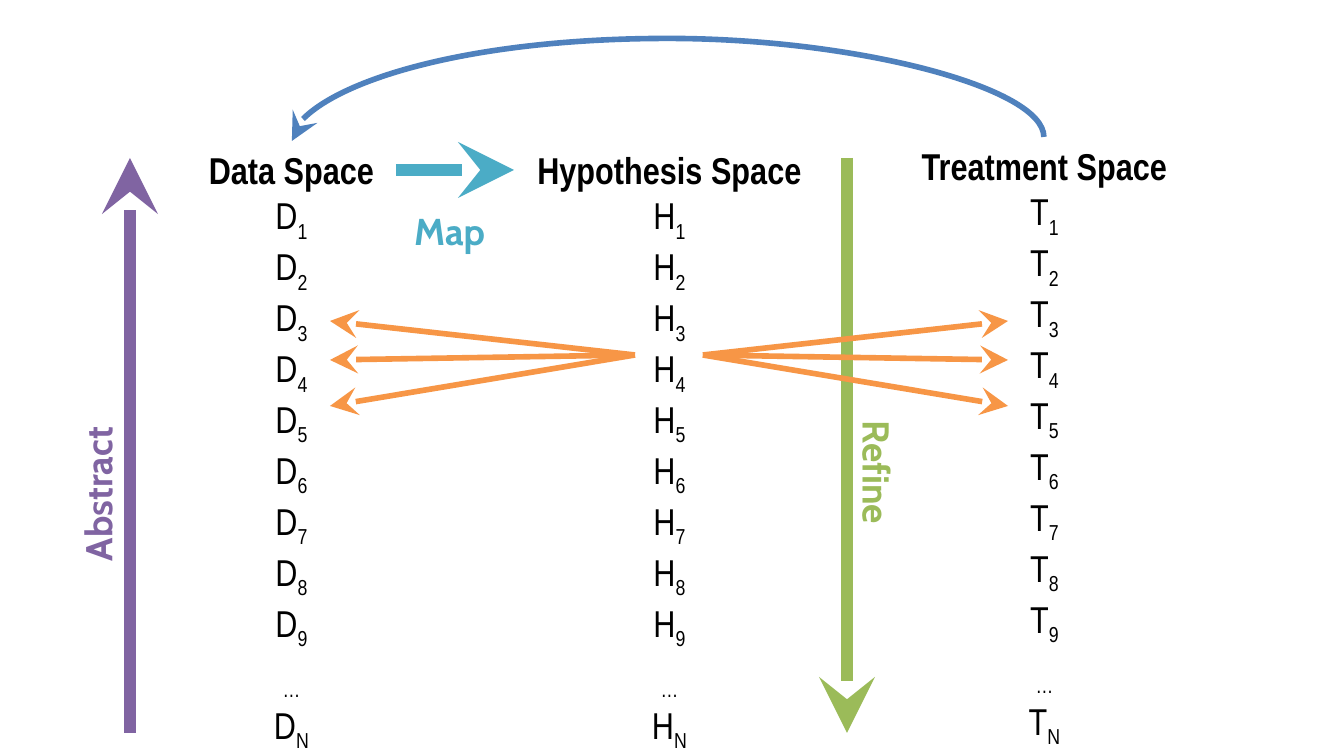
from lxml import etree
from pptx import Presentation
from pptx import util as u
from pptx.dml import color
from pptx.enum import shapes, text
from pptx.oxml import ns

SCALE = 914400 / 134.4
PURPLE, TEAL, GREEN, ORANGE, BLUE = "8064A2", "4BACC6", "9BBB59", "F79646", "4F81BD"


def px(n):
    return u.Emu(round(n * SCALE))


def rgb(value):
    return color.RGBColor.from_string(value)


class Diagram:
    size = u.Pt(20)
    column_font = "Arial Narrow"
    label_font = "Cabin"

    def __init__(self, s):
        self.s = s

    def text_frame(self, x, y, w, h, wrap, rotation=0):
        sp = self.s.shapes.add_textbox(px(x), px(y), px(w), px(h))
        sp.rotation = rotation
        tf = sp.text_frame
        tf.word_wrap = wrap
        tf.auto_size = text.MSO_AUTO_SIZE.SHAPE_TO_FIT_TEXT
        return tf

    def format(self, p, font, hex_color, bold):
        p.font.size, p.font.name, p.font.bold = self.size, font, bold
        p.font.color.rgb = rgb(hex_color)

    def label(self, words, x, y, w, hex_color, rotation=0):
        p = self.text_frame(x, y, w, 59, False, rotation).paragraphs[0]
        p.text = words
        self.format(p, self.label_font, hex_color, True)

    def column(self, heading, letter, x, y):
        tf = self.text_frame(x, y, 323, 542, True)
        rows = [(letter, str(i)) for i in range(1, 10)] + [("", "…"), (letter, "N")]
        for i, (base, subscript) in enumerate([(heading, "")] + rows):
            p = tf.add_paragraph() if i else tf.paragraphs[0]
            p.alignment = text.PP_ALIGN.CENTER
            self.format(p, self.column_font, "000000", i == 0)
            if base:
                p.add_run().text = base
            if subscript:
                r = p.add_run()
                r.text = subscript
                r.font._element.set("baseline", "-25000")

    def arrow(self, x1, y1, x2, y2, hex_color, width,
              kind=shapes.MSO_CONNECTOR.STRAIGHT):
        sp = self.s.shapes.add_connector(kind, px(x1), px(y1), px(x2), px(y2))
        sp.line.color.rgb = rgb(hex_color)
        sp.line.width = u.Pt(width)
        etree.SubElement(sp.line._ln, ns.qn("a:tailEnd"), type="stealth", w="lg", len="lg")
        etree.SubElement(sp._element.spPr, ns.qn("a:effectLst"))
        return sp

    def arc(self, x1, y1, x2, y2, rise, hex_color, width):
        cx, cy = (x1 + x2) / 2, (y1 + y2) / 2
        half_span, half_drop = (x1 - x2) / 2, (y2 - y1) / 2
        sp = self.arrow(cx + half_drop, cy + half_span, cx - half_drop, cy - half_span,
                        hex_color, width, shapes.MSO_CONNECTOR.CURVE)
        spPr = sp._element.spPr
        spPr.find(ns.qn("a:xfrm")).set("rot", str(270 * 60000))
        geom = spPr.find(ns.qn("a:prstGeom"))
        guides = geom.find(ns.qn("a:avLst"))
        if guides is None:
            guides = etree.SubElement(geom, ns.qn("a:avLst"))
        ratio = round(-rise / (y2 - y1) * 100000)
        etree.SubElement(guides, ns.qn("a:gd"), name="adj1", fmla=f"val {ratio}")


prs = Presentation()
prs.slide_width, prs.slide_height = px(1344), px(756)
d = Diagram(prs.slides.add_slide(prs.slide_layouts[6]))

d.column("Hypothesis Space", "H", 508, 141)
d.column("Data Space", "D", 130, 141)

d.arrow(130, 733, 130, 158, PURPLE, 6)
d.label("Abstract", 3, 450, 190, PURPLE, 270)
d.arrow(396, 170, 514, 170, TEAL, 6)
d.label("Map", 401, 202, 109, TEAL)
d.arrow(847, 158, 847, 733, GREEN, 6)
d.label("Refine", 805, 450, 144, GREEN, 90)

d.column("Treatment Space", "T", 883, 137)

for start, end in ((635, 330), (703, 1008)):
    for y in (321, 360, 406):
        d.arrow(start, 355, end, y, ORANGE, 3)

d.arc(1044, 137, 292, 141, 98, BLUE, 3)

prs.save("out.pptx")
